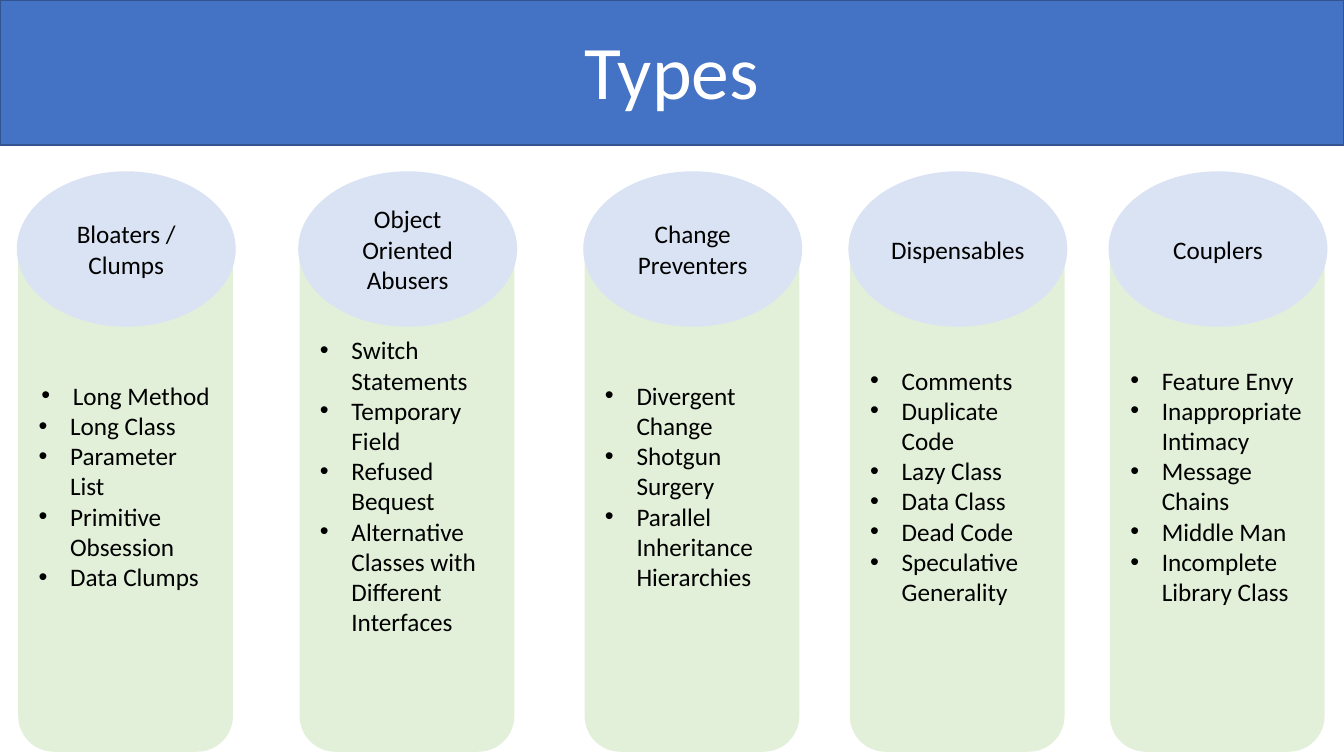
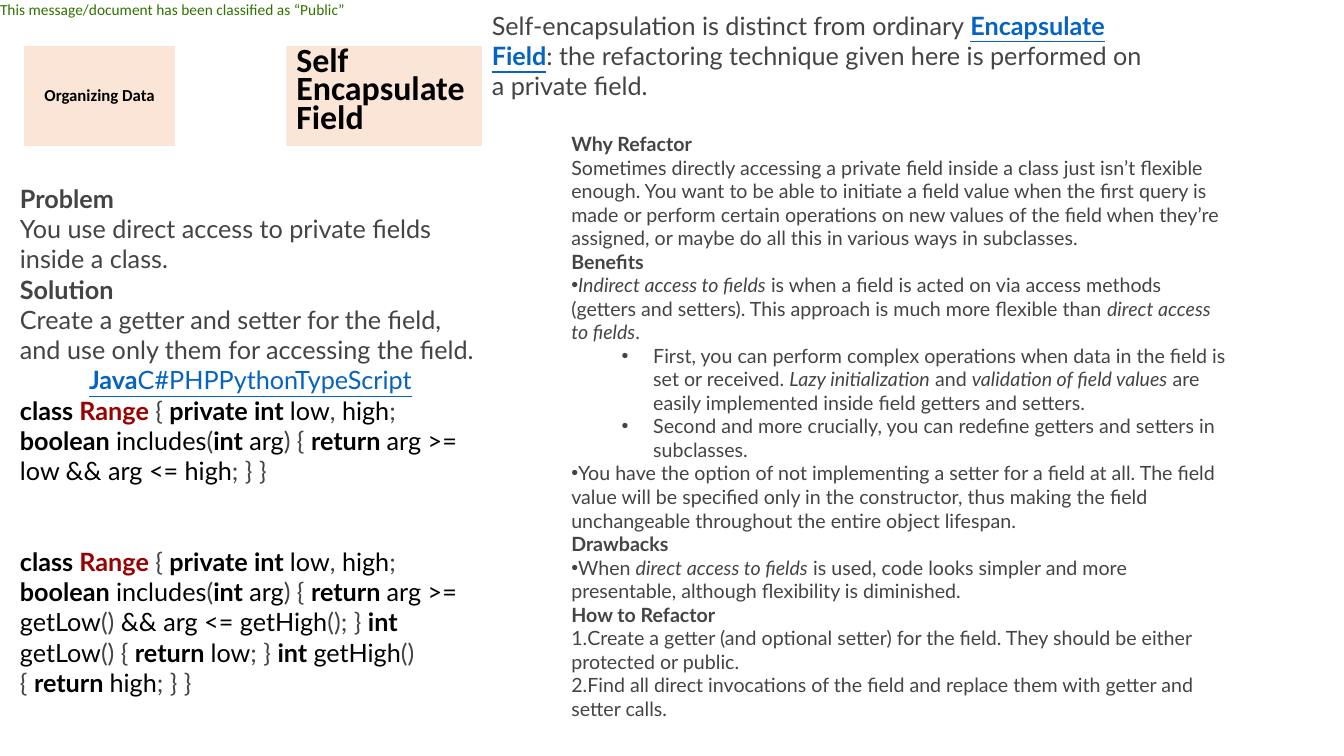
import lxml.etree
import pptx
import pptx.dml.color
import pptx.enum.shapes
import pptx.enum.text
import pptx.oxml.ns
import pptx.util

Pt = pptx.util.Pt
SHAPES = pptx.enum.shapes.MSO_SHAPE
ALIGN = pptx.enum.text.PP_ALIGN
ANCHOR = pptx.enum.text.MSO_ANCHOR

COLOURS = {
    "band": "4472C4", "band_line": "325491", "column": "E2F0D9",
    "heading": "DAE3F3", "tag": "FBE5D6", "white": "FFFFFF",
    "black": "000000", "grey": "444444", "link": "0563C1",
    "class_name": "990000", "notice": "317100",
}

STYLES = {
    "title": {"colour": "white"},
    "notice": {"colour": "notice"},
    "black": {"colour": "black"},
    "keyword": {"colour": "black", "bold": True},
    "class_name": {"colour": "class_name", "bold": True},
    "grey": {"colour": "grey"},
    "strong": {"colour": "grey", "bold": True},
    "term": {"colour": "grey", "italic": True},
    "link": {"colour": "link", "underline": True},
    "strong_link": {"colour": "link", "bold": True, "underline": True},
}


def para(*runs, **layout):
    return {"runs": runs, **layout}


class Deck:
    def __init__(self):
        self.presentation = pptx.Presentation()
        self.presentation.slide_width = Pt(960)
        self.presentation.slide_height = Pt(540)
        self.shapes = None

    def new_slide(self):
        self.slide = self.presentation.slides.add_slide(self.presentation.slide_layouts[6])
        self.shapes = self.slide.shapes

    def new_group(self):
        self.shapes = self.slide.shapes.add_group_shape().shapes

    def colour(self, name):
        return pptx.dml.color.RGBColor.from_string(COLOURS[name])

    def shape(self, kind, box, fill, line=None):
        shape = self.shapes.add_shape(kind, *map(Pt, box))
        shape.shadow.inherit = False
        shape.fill.solid()
        shape.fill.fore_color.rgb = self.colour(fill)
        if line:
            shape.line.color.rgb = self.colour(line)
            shape.line.width = Pt(1)
        else:
            shape.line.fill.background()
        return shape

    def label(self, kind, box, fill, paragraphs, **text_style):
        shape = self.shape(kind, box, fill)
        self.fill_text(shape.text_frame, paragraphs, anchor=ANCHOR.MIDDLE, **text_style)
        return shape

    def text(self, box, paragraphs, **text_style):
        text_box = self.shapes.add_textbox(*map(Pt, box))
        self.fill_text(text_box.text_frame, paragraphs, **text_style)
        return text_box

    def fill_text(self, frame, paragraphs, size, font="Calibri", style="black", anchor=ANCHOR.TOP):
        frame.word_wrap = True
        frame.vertical_anchor = anchor
        for index, content in enumerate(paragraphs):
            paragraph = frame.paragraphs[0] if index == 0 else frame.add_paragraph()
            self.bullet(paragraph, content)
            paragraph.alignment = content.get("align", ALIGN.LEFT)
            paragraph.line_spacing = content.get("spacing", 1.0)
            if "before" in content:
                paragraph.space_before = Pt(content["before"])
            for part in content["runs"]:
                run_style, words = (style, part) if isinstance(part, str) else part
                self.add_run(paragraph, words, size, font, **STYLES[run_style])

    def bullet(self, paragraph, content):
        if "bullet" not in content:
            return
        paragraph.level = content.get("level", 0)
        properties = paragraph._p.get_or_add_pPr()
        hanging = Pt(content.get("hanging", 0))
        properties.set("marL", str(Pt(content.get("margin", 0))))
        properties.set("indent", str(-hanging))
        qn = pptx.oxml.ns.qn
        if content["bullet"] == "number":
            lxml.etree.SubElement(properties, qn("a:buAutoNum"), type="arabicPeriod")
        else:
            lxml.etree.SubElement(properties, qn("a:buFont"), typeface="Arial")
            lxml.etree.SubElement(properties, qn("a:buChar"), char=content["bullet"])

    def add_run(self, paragraph, words, size, font, colour, bold=False, italic=False,
                underline=False):
        run = paragraph.add_run()
        run.text = words
        run.font.name = font
        run.font.size = Pt(size)
        run.font.color.rgb = self.colour(colour)
        run.font.bold = bold
        run.font.italic = italic
        run.font.underline = underline


SMELLS = [
    (13, "Bloaters / Clumps",
     ["Long Method", "Long Class", "Parameter List", "Primitive Obsession", "Data Clumps"]),
    (214, "Object Oriented Abusers",
     ["Switch Statements", "Temporary Field", "Refused Bequest",
      "Alternative Classes with Different Interfaces"]),
    (417.6, "Change Preventers",
     ["Divergent Change", "Shotgun Surgery", "Parallel Inheritance Hierarchies"]),
    (607, "Dispensables",
     ["Comments", "Duplicate Code", "Lazy Class", "Data Class", "Dead Code",
      "Speculative Generality"]),
    (792.8, "Couplers",
     ["Feature Envy", "Inappropriate Intimacy", "Message Chains", "Middle Man",
      "Incomplete Library Class"]),
]

RANGE_START = [
    ("keyword", "class "), ("class_name", "Range"), " { ",
    ("keyword", "private int "), ("black", "low"), ", ", ("black", "high"), "; ",
    ("keyword", "boolean "), ("black", "includes"), "(",
    ("keyword", "int "), ("black", "arg"), ") { ", ("keyword", "return "),
]

DIRECT_ACCESS = [("black", "arg >= low && arg <= high"), "; } }"]

GETTER_ACCESS = [
    ("black", "arg >= getLow"), "() ", ("black", "&& arg <= getHigh"), "(); } ",
    ("keyword", "int "), ("black", "getLow"), "() { ",
    ("keyword", "return "), ("black", "low"), "; } ",
    ("keyword", "int "), ("black", "getHigh"), "() { ",
    ("keyword", "return "), ("black", "high"), "; } }",
]

EXAMPLE = [
    para(("strong", "Problem")),
    para("You use direct access to private fields inside a class."),
    para(("strong", "Solution")),
    para("Create a getter and setter for the field, and use only them for accessing the field."),
    para(("strong_link", "Java"), ("link", "C#PHPPythonTypeScript"), align=ALIGN.CENTER),
    para(*RANGE_START, *DIRECT_ACCESS),
    para(*RANGE_START, *GETTER_ACCESS, before=43.2),
]

NESTED = {"bullet": "•", "level": 1, "margin": 58.5, "hanging": 22.5}

DISCUSSION = [
    para(("strong", "Why Refactor")),
    para("Sometimes directly accessing a private field inside a class just isn’t flexible enough. "
         "You want to be able to initiate a field value when the first query is made or perform "
         "certain operations on new values of the field when they’re assigned, or maybe do all "
         "this in various ways in subclasses."),
    para(("strong", "Benefits")),
    para(("term", "Indirect access to fields"),
         " is when a field is acted on via access methods (getters and setters). "
         "This approach is much more flexible than ",
         ("term", "direct access to fields"), ".", bullet="•"),
    para("First, you can perform complex operations when data in the field is set or received. ",
         ("term", "Lazy initialization"), " and ", ("term", "validation of field values"),
         " are easily implemented inside field getters and setters.", **NESTED),
    para("Second and more crucially, you can redefine getters and setters in subclasses.",
         **NESTED),
    para("You have the option of not implementing a setter for a field at all. The field value "
         "will be specified only in the constructor, thus making the field unchangeable "
         "throughout the entire object lifespan.", bullet="•"),
    para(("strong", "Drawbacks")),
    para("When ", ("term", "direct access to fields"),
         " is used, code looks simpler and more presentable, although flexibility is diminished.",
         bullet="•"),
    para(("strong", "How to Refactor")),
    para("Create a getter (and optional setter) for the field. "
         "They should be either protected or public.", bullet="number"),
    para("Find all direct invocations of the field and replace them with getter and setter "
         "calls.", bullet="number"),
]


def build_types(deck):
    deck.new_slide()
    deck.shape(SHAPES.RECTANGLE, (0, 0, 960, 103.7), "band", "band_line")
    deck.text((343.4, 17.3, 273, 72.7), [para("Types", align=ALIGN.CENTER, spacing=0.9)],
              size=54, style="title", anchor=ANCHOR.MIDDLE)
    for left, heading, smells in SMELLS:
        deck.new_group()
        items = [para(smell, bullet="•", margin=22.5, hanging=22.5) for smell in smells]
        if heading.startswith("Bloaters"):
            items[0]["align"] = ALIGN.CENTER
        deck.label(SHAPES.ROUNDED_RECTANGLE, (left, 157, 153.4, 380), "column", items, size=18)
        deck.label(SHAPES.OVAL, (left - 1, 122.4, 156.4, 111), "heading",
                   [para(heading, align=ALIGN.CENTER)], size=18)


def build_self_encapsulate_field(deck):
    deck.new_slide()
    notice = deck.text((0, 0, 270, 13),
                       [para("This message/document has been classified as “Public”")],
                       size=11, style="notice")
    frame = notice.text_frame
    frame.margin_left = frame.margin_right = frame.margin_top = frame.margin_bottom = Pt(0)
    deck.label(SHAPES.RECTANGLE, (17.2, 33, 108, 71.3), "tag",
               [para("Organizing Data", align=ALIGN.CENTER, spacing=0.9)],
               size=12, style="keyword")
    technique = deck.label(SHAPES.RECTANGLE, (204.6, 33, 139.7, 71.3), "tag",
                           [para("Self Encapsulate Field", spacing=0.7)],
                           size=24.2, style="keyword")
    technique.text_frame.margin_bottom = Pt(9.2)
    deck.text((344.2, 3.6, 483, 72.7),
              [para("Self-encapsulation is distinct from ordinary ",
                    ("strong_link", "Encapsulate Field"),
                    ": the refactoring technique given here is performed on a private field.")],
              size=18, font="Lato", style="grey")
    deck.text((7.2, 127.4, 343.4, 378), EXAMPLE, size=18, font="Lato", style="grey")
    deck.text((401, 90.7, 483, 414.7), DISCUSSION, size=14, font="Lato", style="grey")


def main():
    deck = Deck()
    build_types(deck)
    build_self_encapsulate_field(deck)
    deck.presentation.save("out.pptx")


if __name__ == "__main__":
    main()
